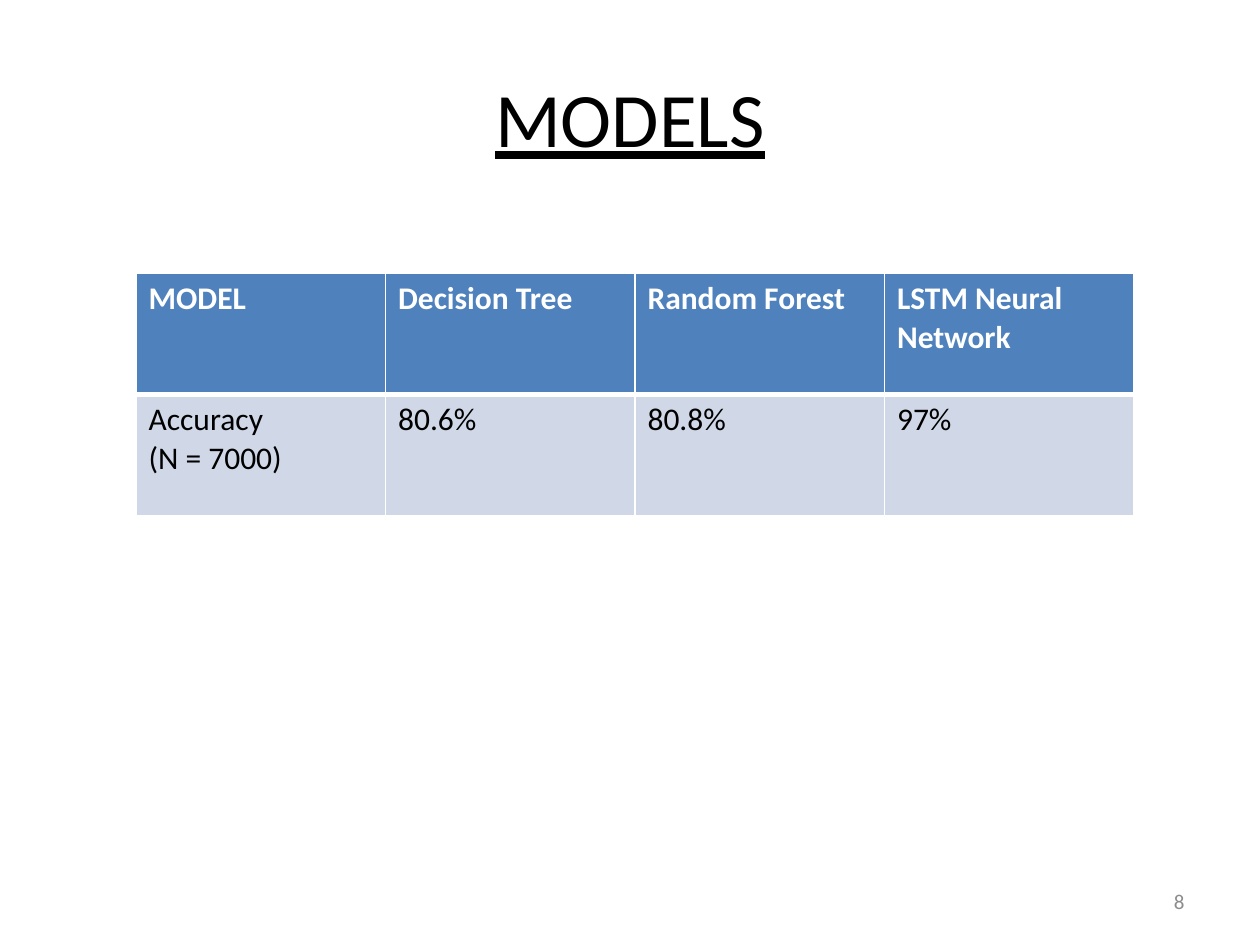
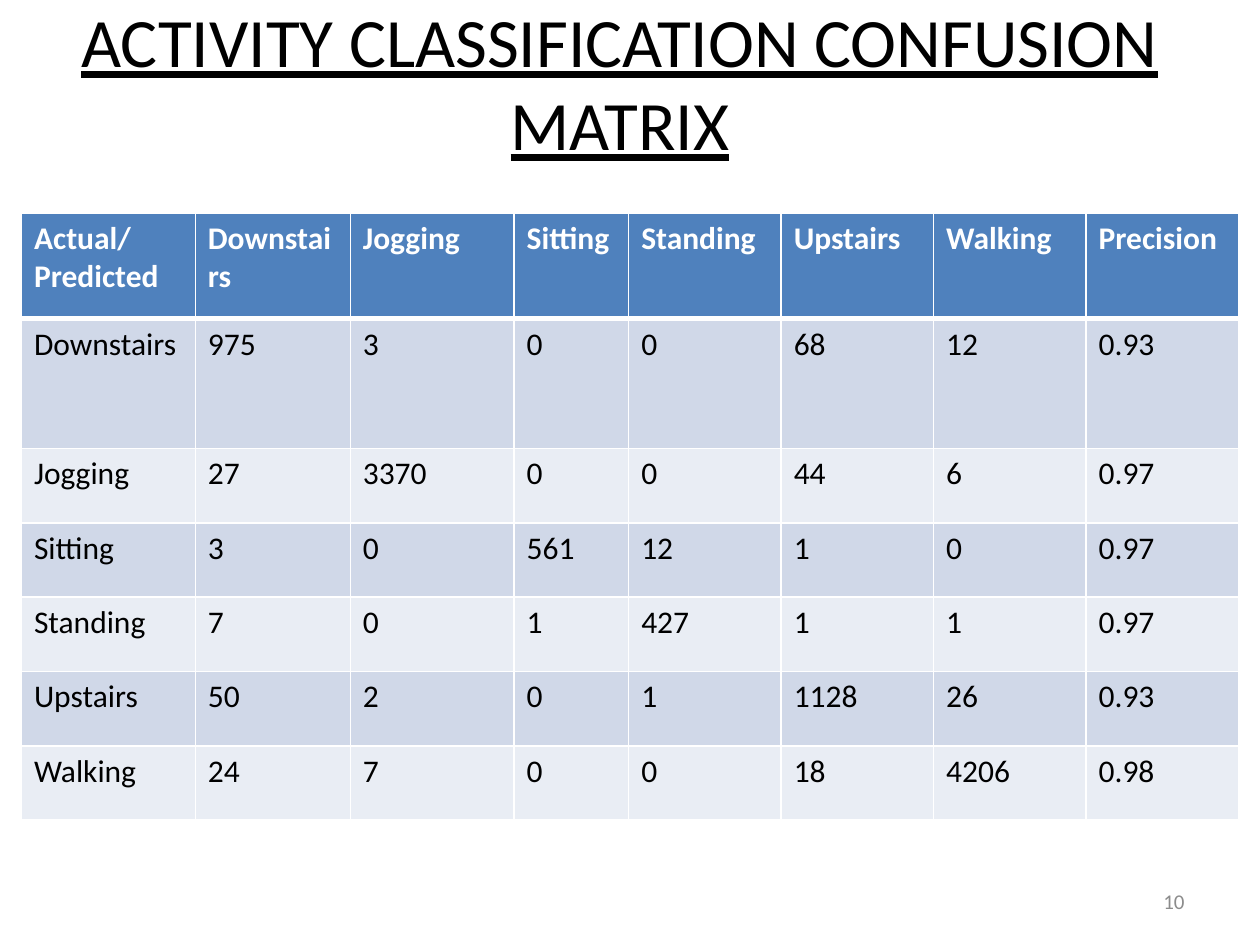
from pptx import Presentation, util as u
from pptx.dml.color import RGBColor
from pptx.enum import text
from pptx.oxml import parse_xml
from pptx.oxml.ns import nsdecls

COL = {"ink": "000000", "page": "FFFFFF", "head": "4F81BD",
       "odd": "D0D8E8", "even": "E9EDF4", "num": "8C8C8C"}
FACE = "Calibri"

# Each slide: title, table place, column widths, row heights, cell texts
DECK = [
    {"title": "MODELS", "size": 44, "spot": (0.5, 0.3), "page": "8",
     "at": (1.08, 2.17), "cols": [1.98] * 4, "rows": [0.96] * 2,
     "data": [["MODEL", "Decision Tree", "Random Forest", "LSTM Neural Network"],
              ["Accuracy\n(N = 7000)", "80.6%", "80.8%", "97%"]]},
    {"title": "ACTIVITY CLASSIFICATION CONFUSION MATRIX", "size": 39.6,
     "spot": (0.42, 0.02), "page": "10",
     "at": (0.17, 1.69), "cols": [1.38, 1.23, 1.3, 0.91] + [1.21] * 4,
     "rows": [0.84, 1.03] + [0.59] * 5,
     "data": [["Actual/Predicted", "Downstairs", "Jogging", "Sitting",
               "Standing", "Upstairs", "Walking", "Precision"],
              ["Downstairs", 975, 3, 0, 0, 68, 12, 0.93],
              ["Jogging", 27, 3370, 0, 0, 44, 6, 0.97],
              ["Sitting", 3, 0, 561, 12, 1, 0, 0.97],
              ["Standing", 7, 0, 1, 427, 1, 1, 0.97],
              ["Upstairs", 50, 2, 0, 1, 1128, 26, 0.93],
              ["Walking", 24, 7, 0, 0, 18, 4206, 0.98]]},
]


def write(frame, words, size, color, align=text.PP_ALIGN.LEFT, **style):
    frame.text = str(words)
    for para in frame.paragraphs:
        para.alignment = align
        for run in para.runs:
            look = {"name": FACE, "size": u.Pt(size), **style}
            for key, val in look.items():
                setattr(run.font, key, val)
            run.font.color.rgb = RGBColor.from_string(COL[color])


def edge(cell, row):
    # White grid, with a thick rule under the header row
    sides = {"L": 1, "R": 1, "T": 3 if row == 1 else 1, "B": 1 if row else 3}
    props = cell._tc.get_or_add_tcPr()
    for pos, (side, wide) in enumerate(sides.items()):
        props.insert(pos, parse_xml(
            f'<a:ln{side} {nsdecls("a")} w="{u.Pt(wide)}"><a:solidFill>'
            f'<a:srgbClr val="{COL["page"]}"/></a:solidFill></a:ln{side}>'))


prs = Presentation()
prs.slide_width, prs.slide_height = u.Inches(10), u.Inches(7.5)

for item in DECK:
    slide = prs.slides.add_slide(prs.slide_layouts[5])

    # Title
    title = slide.shapes.title
    box = dict(zip(("left", "top", "width", "height"), item["spot"] + (9, 1.25)))
    for key, val in box.items():
        setattr(title, key, u.Inches(val))
    frame = title.text_frame
    frame.auto_size = text.MSO_AUTO_SIZE.NONE
    frame.vertical_anchor = text.MSO_ANCHOR.MIDDLE
    write(frame, item["title"], item["size"], "ink",
          text.PP_ALIGN.CENTER, underline=True)

    # Table
    cols, rows, data = item["cols"], item["rows"], item["data"]
    area = [u.Inches(val) for val in (*item["at"], sum(cols), sum(rows))]
    table = slide.shapes.add_table(len(rows), len(cols), *area).table
    for col, wide in zip(table.columns, cols):
        col.width = u.Inches(wide)
    for row, high in zip(table.rows, rows):
        row.height = u.Inches(high)
    for r, line in enumerate(data):
        fill = "head" if r == 0 else "odd" if r % 2 else "even"
        for c, words in enumerate(line):
            cell = table.cell(r, c)
            cell.fill.solid()
            cell.fill.fore_color.rgb = RGBColor.from_string(COL[fill])
            write(cell.text_frame, words, 18, "ink" if r else "page", bold=r == 0)
            edge(cell, r)

    # Page number
    note = slide.shapes.add_textbox(*map(u.Inches, (7.17, 6.95, 2.33, 0.4)))
    note.text_frame.word_wrap = True
    note.text_frame.vertical_anchor = text.MSO_ANCHOR.MIDDLE
    write(note.text_frame, item["page"], 12, "num", text.PP_ALIGN.RIGHT)

prs.save("out.pptx")
